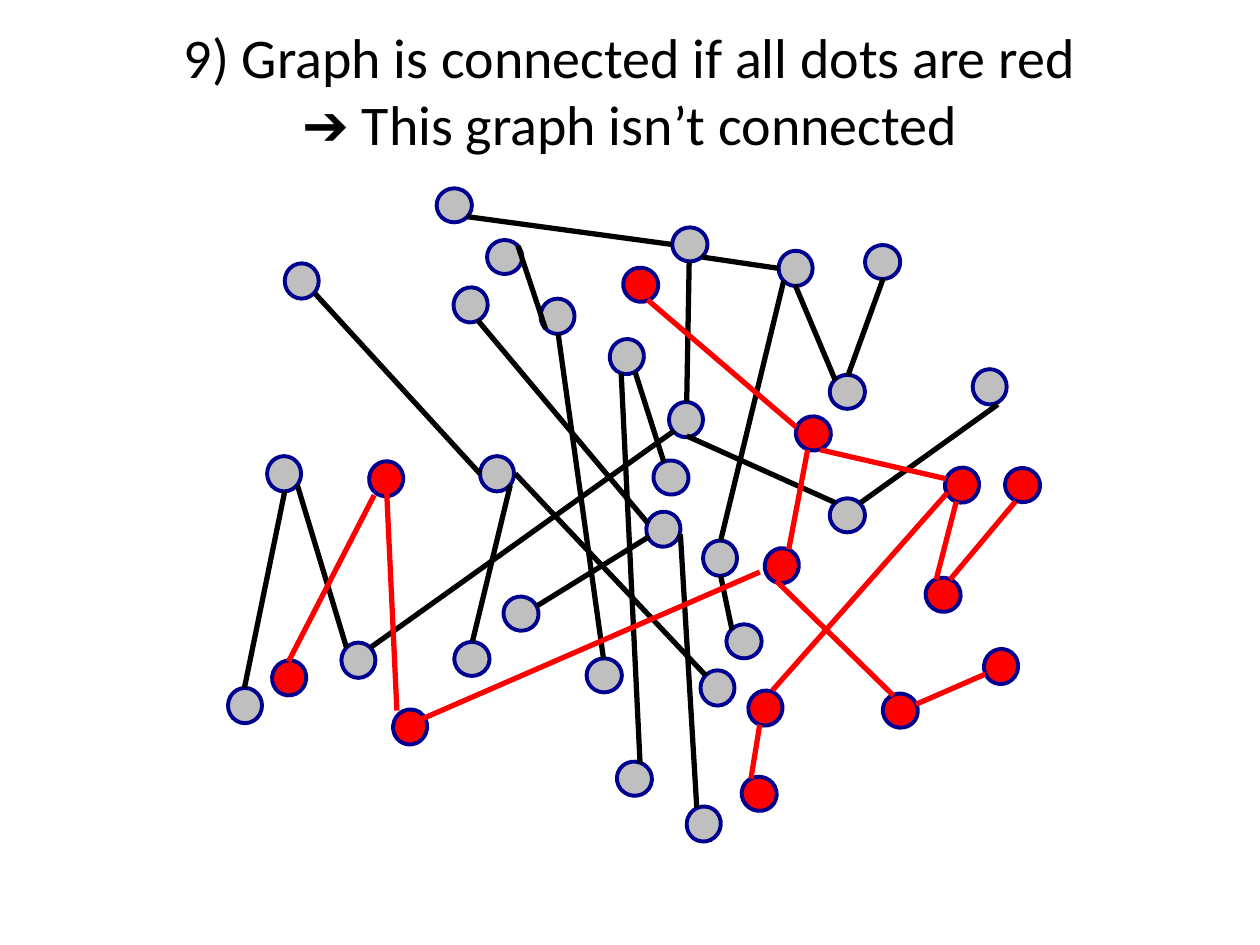
from lxml import etree
from pptx import Presentation
from pptx.dml.color import RGBColor
from pptx.enum.shapes import MSO_CONNECTOR, MSO_SHAPE
from pptx.enum.text import MSO_ANCHOR, MSO_AUTO_SIZE, PP_ALIGN
from pptx.oxml.ns import qn
from pptx.util import Inches, Pt

OVAL = MSO_SHAPE.OVAL
STRAIGHT = MSO_CONNECTOR.STRAIGHT
COLORS = {"black": "000000", "red": "FF0000", "grey": "BFBFBF", "navy": "000090"}

prs = Presentation()
prs.slide_width, prs.slide_height = Inches(10), Inches(7.5)
# Fine grid: 1000 columns by 750 rows
COL = prs.slide_width // 1000
ROW = prs.slide_height // 750
DOT_W, DOT_H = 27 * COL, 28 * ROW

s = prs.slides.add_slide(prs.slide_layouts[5])


def rgb(name):
    return RGBColor.from_string(COLORS[name])


# Title
title = s.shapes.title
title.left, title.top, title.width, title.height = 0, 13 * ROW, 1000 * COL, 118 * ROW
tf = title.text_frame
tf.word_wrap = True
tf.auto_size = MSO_AUTO_SIZE.SHAPE_TO_FIT_TEXT
tf.vertical_anchor = MSO_ANCHOR.TOP
tf.text = "9) Graph is connected if all dots are red\n➔ This graph isn’t connected"
for p in tf.paragraphs:
    p.alignment = PP_ALIGN.CENTER
    p.space_before = Pt(0)
    p.font.size = Pt(32)
    p.font.name = "Calibri"
    p.font.color.rgb = rgb("black")

# Each layer: dots as (colour, rotation, [(column, row)]),
# then edges as (colour, [(from column, from row, to column, to row)])
LAYERS = [
    (
        [
            ("grey", 0, [(226, 209), (429, 237), (212, 362), (381, 362), (618, 199),
                         (531, 319), (271, 510), (558, 429), (181, 546), (772, 293),
                         (556, 532)]),
            ("grey", 90, [(687, 194), (659, 395), (534, 180), (659, 297), (577, 495),
                          (387, 190), (466, 522), (347, 149), (361, 509)]),
        ],
        [
            ("black", [(226, 390, 194, 546), (236, 385, 275, 514), (250, 233, 381, 376),
                       (535, 342, 294, 514), (405, 385, 375, 509), (443, 265, 479, 523),
                       (371, 172, 533, 194), (411, 195, 433, 261), (618, 213, 557, 204),
                       (631, 226, 663, 302), (701, 221, 673, 298), (409, 376, 560, 536),
                       (545, 346, 663, 399), (792, 321, 683, 399), (622, 223, 572, 429),
                       (547, 208, 545, 319), (581, 500, 572, 457)]),
        ],
    ),
    (
        [
            ("grey", 20.3, [(360, 228), (484, 269), (513, 406), (545, 640)]),
            ("red", 20.3, [(293, 366), (750, 371), (607, 435), (312, 563), (594, 548),
                           (216, 524), (781, 515)]),
            ("red", 110.3, [(798, 371), (701, 550), (632, 330), (735, 458), (589, 616),
                            (495, 212)]),
            ("grey", 110.3, [(519, 365), (490, 604), (400, 473)]),
        ],
        [
            ("black", [(379, 254, 514, 415), (515, 426, 426, 481), (493, 296, 508, 606),
                       (527, 367, 504, 295), (540, 424, 553, 641)]),
            ("red", [(297, 393, 229, 525), (307, 392, 315, 564), (603, 454, 334, 571),
                     (514, 238, 632, 339), (751, 380, 651, 357), (759, 398, 743, 460),
                     (806, 398, 754, 460), (616, 461, 709, 552), (782, 535, 727, 559),
                     (752, 391, 613, 548), (641, 357, 626, 436), (596, 618, 603, 575)]),
        ],
    ),
]

for dots, edges in LAYERS:
    # Dots
    for color, angle, places in dots:
        for x, y in places:
            dot = s.shapes.add_shape(OVAL, x * COL, y * ROW, DOT_W, DOT_H)
            dot.rotation = angle
            dot.shadow.inherit = False
            dot.fill.solid()
            dot.fill.fore_color.rgb = rgb(color)
            dot.line.color.rgb = rgb("navy")
            dot.line.width = Pt(2.25)
    # Edges
    for color, ends in edges:
        for x1, y1, x2, y2 in ends:
            edge = s.shapes.add_connector(STRAIGHT, x1 * COL, y1 * ROW, x2 * COL, y2 * ROW)
            edge.line.color.rgb = rgb(color)
            edge.line.width = Pt(3)
            etree.SubElement(edge._element.spPr, qn("a:effectLst"))

prs.save("out.pptx")
